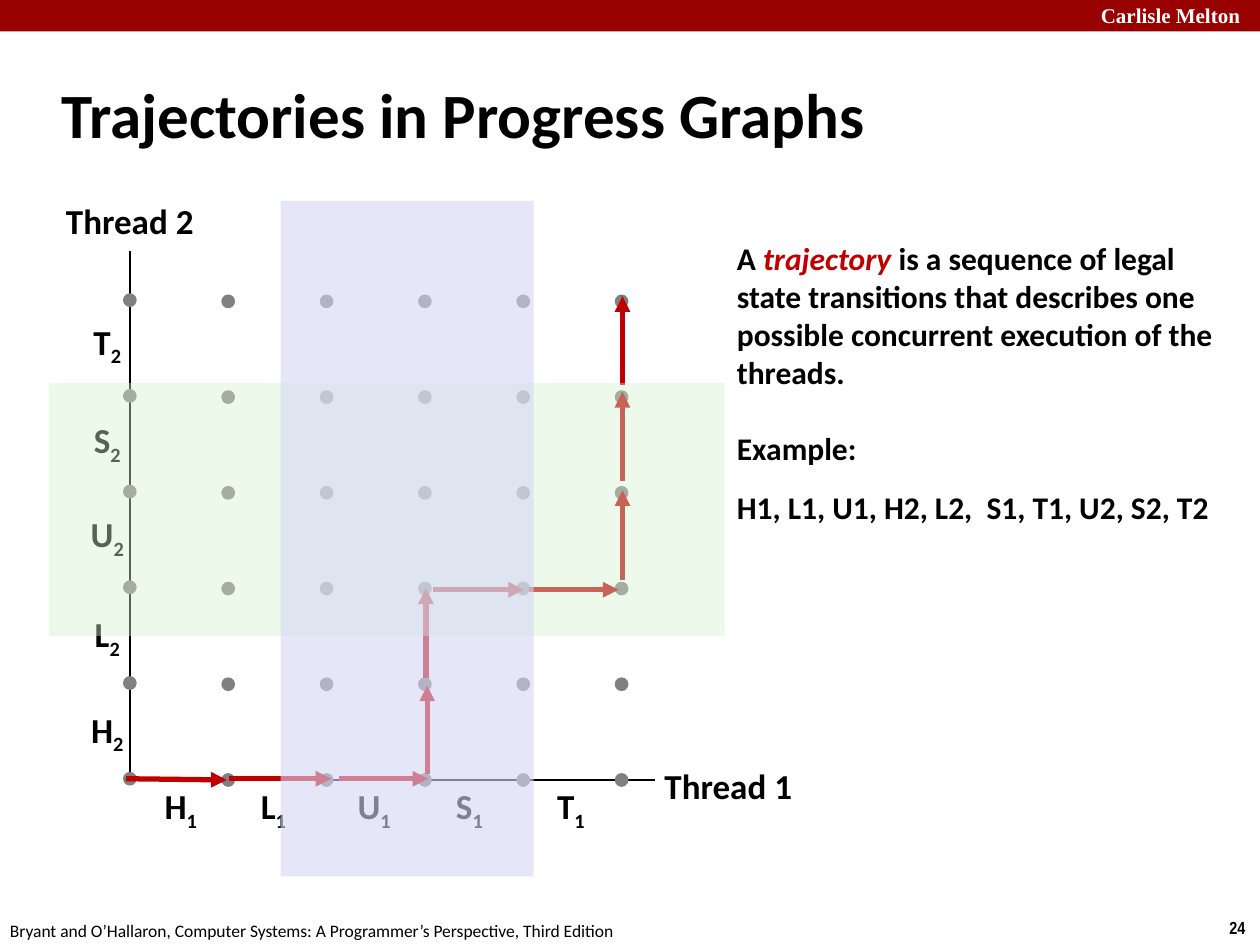
from lxml import etree
from pptx import Presentation
from pptx.dml.color import RGBColor
from pptx.enum.shapes import MSO_CONNECTOR, MSO_SHAPE
from pptx.enum.text import MSO_ANCHOR, PP_ALIGN
from pptx.oxml.ns import qn
from pptx.util import Pt

RECT, OVAL = MSO_SHAPE.RECTANGLE, MSO_SHAPE.OVAL
STRAIGHT = MSO_CONNECTOR.STRAIGHT
TOP, MIDDLE = MSO_ANCHOR.TOP, MSO_ANCHOR.MIDDLE
LEFT, CENTER = PP_ALIGN.LEFT, PP_ALIGN.CENTER

COLORS = {
    "black": "000000", "white": "FFFFFF", "banner": "990000",
    "accent": "C00000", "dot": "808080", "green": "D5F1CF", "violet": "D6D6F5",
}


def rgb(name):
    return RGBColor.from_string(COLORS[name])


class SlideBuilder:
    font = "Calibri"

    def __init__(self, slide):
        self.slide = slide

    def shape(self, kind, x, y, w, h, color, opacity=None, outline=None):
        shape = self.slide.shapes.add_shape(kind, Pt(x), Pt(y), Pt(w), Pt(h))
        shape.shadow.inherit = False
        shape.fill.solid()
        shape.fill.fore_color.rgb = rgb(color)
        if outline:
            shape.line.color.rgb = rgb(color)
            shape.line.width = Pt(outline)
        else:
            shape.line.fill.background()
        if opacity:
            fill_color = shape.fill._xPr.find(qn("a:solidFill"))[0]
            etree.SubElement(fill_color, qn("a:alpha"), val=str(opacity * 1000))

    def line(self, x1, y1, x2, y2, color="black", width=1, arrow=False):
        line = self.slide.shapes.add_connector(STRAIGHT, Pt(x1), Pt(y1), Pt(x2), Pt(y2))
        line.line.color.rgb = rgb(color)
        line.line.width = Pt(width)
        if arrow:
            etree.SubElement(line.line._get_or_add_ln(), qn("a:tailEnd"), type="triangle")
        etree.SubElement(line._element.spPr, qn("a:effectLst"))

    def frame(self, x, y, w, h, anchor=MIDDLE, wrap=False):
        frame = self.slide.shapes.add_textbox(Pt(x), Pt(y), Pt(w), Pt(h)).text_frame
        frame.word_wrap = wrap
        frame.vertical_anchor = anchor
        return frame

    def style(self, paragraph, size, bold=True, color="black", font=None, align=LEFT):
        paragraph.alignment = align
        paragraph.font.name = font or self.font
        paragraph.font.size = Pt(size)
        paragraph.font.bold = bold
        paragraph.font.color.rgb = rgb(color)

    def text(self, text, x, y, w, h, size, anchor=MIDDLE, **style):
        paragraph = self.frame(x, y, w, h, anchor).paragraphs[0]
        paragraph.text = text
        self.style(paragraph, size, **style)

    def step_label(self, letter, thread, center_x, center_y):
        paragraph = self.frame(center_x - 17, center_y - 16, 34, 32).paragraphs[0]
        paragraph.add_run().text = letter
        subscript = paragraph.add_run()
        subscript.text = thread
        subscript._r.get_or_add_rPr().set("baseline", "-25000")
        self.style(paragraph, 20, align=CENTER)

    def explanation(self, x, y, w, h):
        frame = self.frame(x, y, w, h, wrap=True)
        definition = frame.paragraphs[0]
        definition.add_run().text = "A "
        term = definition.add_run()
        term.text = "trajectory"
        term.font.italic = True
        term.font.color.rgb = rgb("accent")
        definition.add_run().text = (
            " is a sequence of legal state transitions that describes one "
            "possible concurrent execution of the threads.")
        self.style(definition, 18)
        for text, gap in (("Example:", 22),
                          ("H1, L1, U1, H2, L2,  S1, T1, U2, S2, T2", 12)):
            paragraph = frame.add_paragraph()
            paragraph.text = text
            paragraph.space_before = Pt(gap)
            self.style(paragraph, 18)


def main():
    prs = Presentation()
    prs.slide_width, prs.slide_height = Pt(720), Pt(540)
    page = SlideBuilder(prs.slides.add_slide(prs.slide_layouts[6]))

    # Banner and footer
    page.shape(RECT, 0, 0, 720, 18, "banner")
    page.text("Carlisle Melton", 622, -2, 103, 22, 12, TOP,
              color="white", font="Times New Roman")
    page.text("24", 695.5, 520.5, 24.5, 19.4, 10, TOP, font="Arial Narrow")
    page.text("Bryant and O’Hallaron, Computer Systems: A Programmer’s "
              "Perspective, Third Edition", -1.4, 522, 366, 19.4, 10, TOP, bold=False)

    # Title and explanation
    page.text("Trajectories in Progress Graphs", 28, 34.5, 598, 60, 36)
    page.explanation(414, 132.5, 300, 172)

    # Axes
    origin_x, origin_y = 74.2, 445.7
    page.line(origin_x, origin_y, 374.4, origin_y)
    page.line(origin_x, origin_y, origin_x, 143.3)
    page.text("Thread 1", 372.2, 432.7, 88, 32, 20, align=CENTER)
    page.text("Thread 2", 30.2, 110.2, 88, 32, 20, align=CENTER)

    # Step labels along both axes
    steps = zip("HLUST", (103.3, 156.2, 213.8, 268.2, 326.2),
                (418.3, 363.6, 306.7, 252.7, 196.6))
    for letter, label_x, label_y in steps:
        page.step_label(letter, "1", label_x, 462.2)
        page.step_label(letter, "2", 61.3, label_y)

    # State dots
    pitch_x, pitch_y, dot = 56.2, 54.7, 5.8
    for column in range(6):
        base_y = origin_y if column else origin_y - 0.7
        for row in range(6):
            page.shape(OVAL, origin_x + column * pitch_x - dot / 2,
                       base_y - row * pitch_y - dot / 2, dot, dot, "dot", outline=2)

    # Trajectory, one arrow per step
    trajectory = (
        (72, 445, 129.6, 445.7), (131, 445, 189.4, 445), (193.7, 445, 244.8, 445),
        (244.1, 442.1, 244.1, 391.7), (243.4, 387.4, 243.4, 336.2),
        (247.7, 337, 299.5, 337), (302.4, 337, 353.5, 337),
        (355.7, 331.2, 355.7, 280.1), (355.7, 275, 355.7, 223.9),
        (355.7, 220.3, 355.7, 169.2),
    )
    for ends in trajectory:
        page.line(*ends, color="accent", width=3, arrow=True)

    # Critical sections of the two threads
    length, breadth = 386, 144.5
    page.shape(RECT, 28.1, 218.9, length, breadth, "green", opacity=41)
    page.shape(RECT, 160.4, 114.8, breadth, length, "violet", opacity=60)

    prs.save("out.pptx")


if __name__ == "__main__":
    main()
